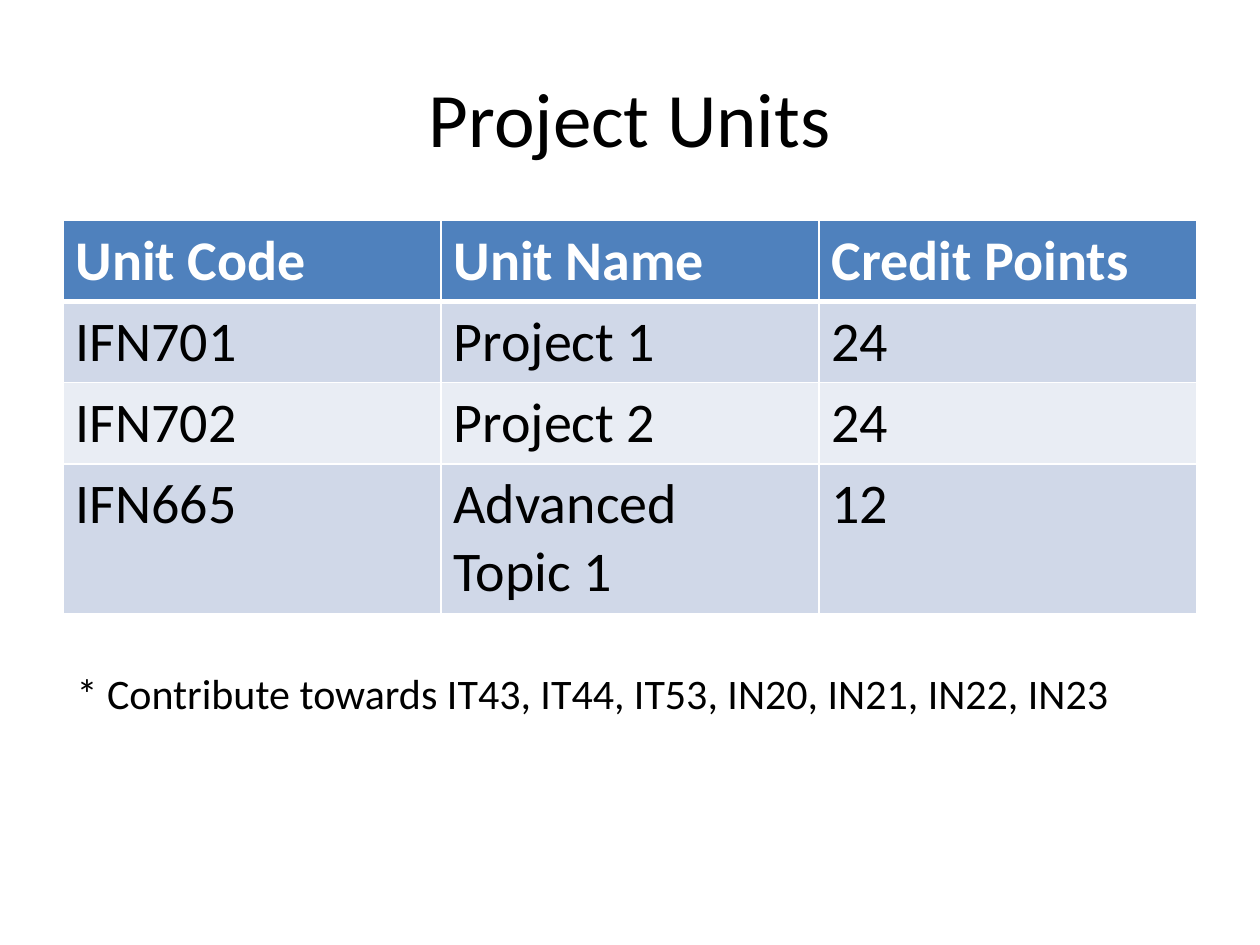
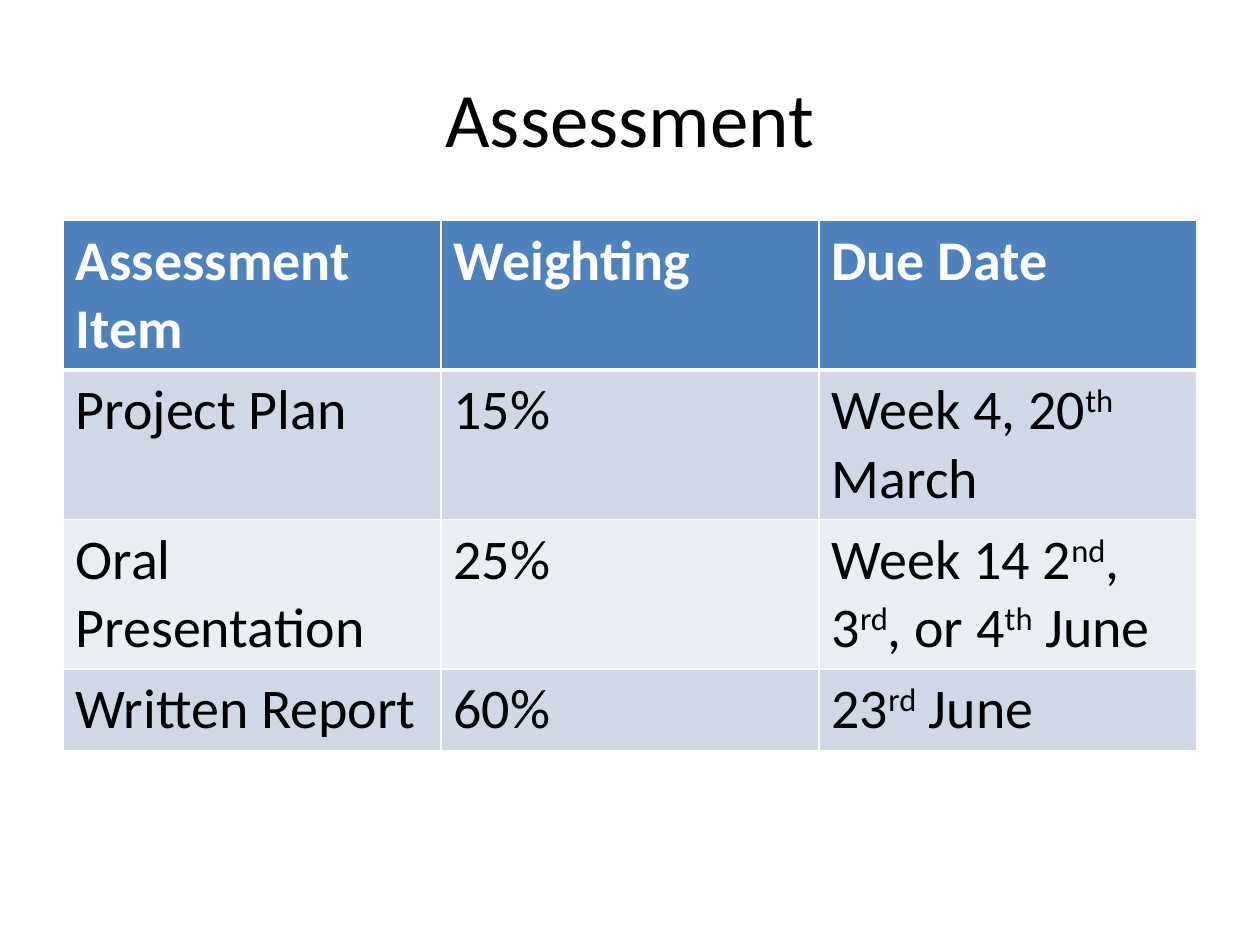
from lxml.etree import SubElement as Sub
from pptx import Presentation as Deck
from pptx.dml.color import RGBColor as Rgb
from pptx.enum.text import MSO_ANCHOR as Anchor, PP_ALIGN as Align
from pptx.oxml.ns import qn
from pptx.util import Inches, Pt

HUES = {
    "ink": "000000",
    "white": "FFFFFF",
    "head": "4F81BD",
    "odd": "D0D8E8",
    "even": "E9EDF4",
}
FACE = "Calibri"
COLS, ROWS = 20, 30

UNITS = [
    ["Unit Code", "Unit Name", "Credit Points"],
    ["IFN701", "Project 1", "24"],
    ["IFN702", "Project 2", "24"],
    ["IFN665", "Advanced Topic 1", "12"],
]
TASKS = [
    ["Assessment Item", "Weighting", "Due Date"],
    ["Project Plan", "15%", "Week 4, 20^th^ March"],
    ["Oral Presentation", "25%", "Week 14 2^nd^, 3^rd^, or 4^th^ June"],
    ["Written Report", "60%", "23^rd^ June"],
]


class Page:
    def __init__(self, deck):
        self.deck = deck
        self.slide = None

    def box(self, col, row, wide, high):
        dx = self.deck.slide_width / COLS
        dy = self.deck.slide_height / ROWS
        return [round(v) for v in (col * dx, row * dy, wide * dx, high * dy)]

    def label(self, para, text, size, hue="ink", bold=False):
        for i, part in enumerate(text.split("^")):
            run = para.add_run()
            run.text = part
            if i % 2:
                run._r.get_or_add_rPr().set("baseline", "30000")
        font = para.font
        font.name, font.size, font.bold = FACE, Pt(size), bold
        font.color.rgb = Rgb.from_string(HUES[hue])

    def title(self, text):
        self.slide = self.deck.slides.add_slide(self.deck.slide_layouts[5])
        shape = self.slide.shapes.title
        shape.left, shape.top, shape.width, shape.height = self.box(1, 1.2, 18, 5)
        frame = shape.text_frame
        frame.vertical_anchor = Anchor.MIDDLE
        para = frame.paragraphs[0]
        para.alignment = Align.CENTER
        self.label(para, text, 44)

    def edge(self, cell, side, width):
        line = Sub(cell._tc.get_or_add_tcPr(), qn(f"a:ln{side}"), w=str(Pt(width)))
        Sub(Sub(line, qn("a:solidFill")), qn("a:srgbClr"), val=HUES["white"])

    def table(self, data):
        area = self.box(1, 7, 18, 6.56)
        table = self.slide.shapes.add_table(len(data), len(data[0]), *area).table
        for r, row in enumerate(data):
            hue = "head" if r == 0 else "odd" if r % 2 else "even"
            for c, text in enumerate(row):
                cell = table.cell(r, c)
                for side in "LRTB":
                    thick = (r, side) in ((0, "B"), (1, "T"))
                    self.edge(cell, side, 3 if thick else 1)
                cell.fill.solid()
                cell.fill.fore_color.rgb = Rgb.from_string(HUES[hue])
                para = cell.text_frame.paragraphs[0]
                self.label(para, text, 32, "ink" if r else "white", r == 0)

    def note(self, text):
        area = self.box(1.02, 21, 16.84, 2)
        frame = self.slide.shapes.add_textbox(*area).text_frame
        frame.word_wrap = False
        self.label(frame.paragraphs[0], text, 24)


def main():
    deck = Deck()
    deck.slide_width, deck.slide_height = Inches(10), Inches(7.5)
    page = Page(deck)

    page.title("Project Units")
    page.table(UNITS)
    page.note("* Contribute towards IT43, IT44, IT53, IN20, IN21, IN22, IN23")

    page.title("Assessment")
    page.table(TASKS)

    deck.save("out.pptx")


if __name__ == "__main__":
    main()
